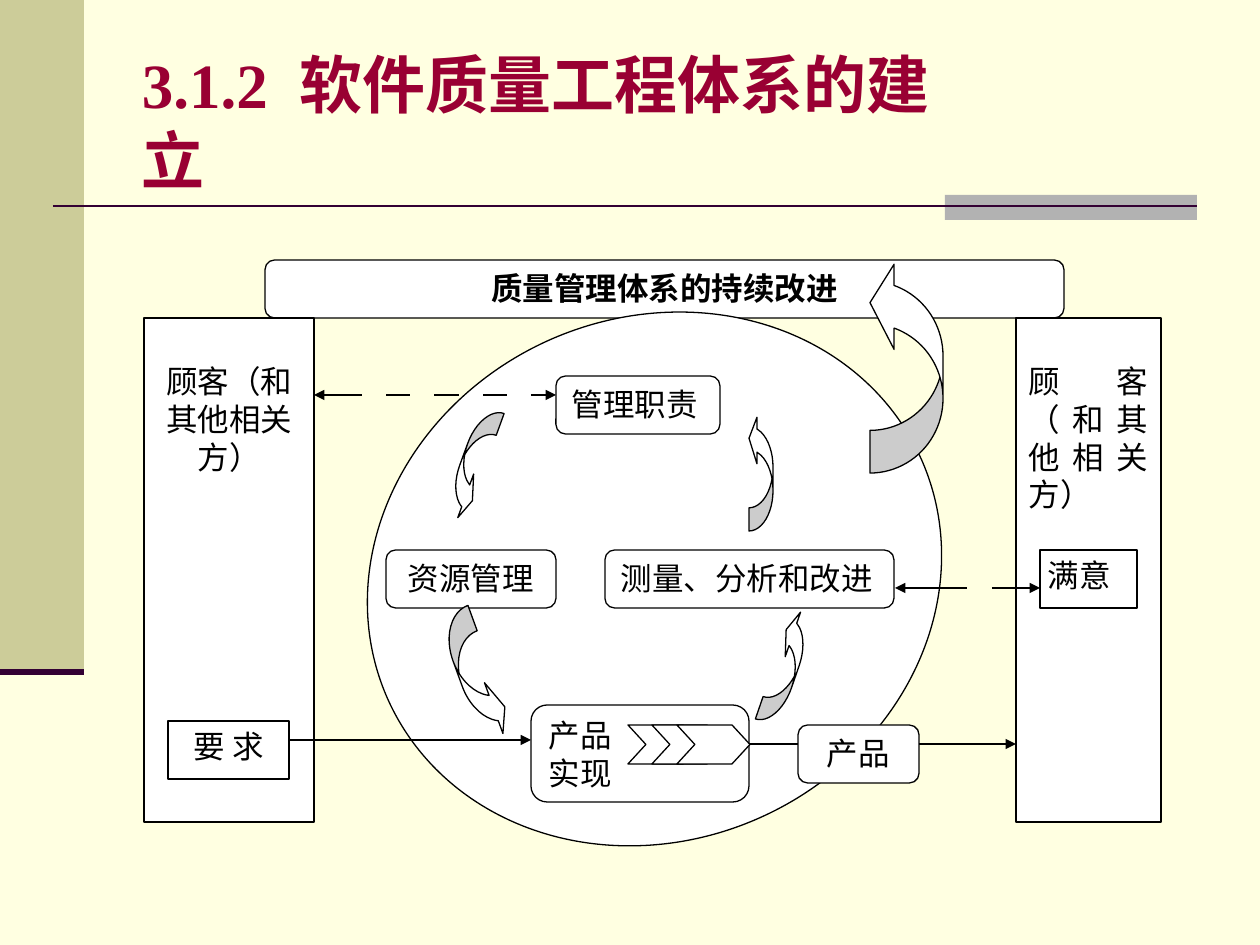
import pptx
import pptx.util
import pptx.oxml
import pptx.oxml.ns
from pptx.dml.color import RGBColor
from pptx.enum.shapes import MSO_CONNECTOR, MSO_SHAPE
from pptx.enum.text import MSO_ANCHOR, PP_ALIGN

SCALE = 914400 / 126
COLORS = {"bg": "FFFFE1", "band": "CCCC99", "accent": "B2B2B2", "rule": "330033",
          "title": "990033", "white": "FFFFFF", "ink": "000000"}
FONT = "Times New Roman"
CENTER, JUSTIFY, LEFT = PP_ALIGN.CENTER, PP_ALIGN.JUSTIFY, PP_ALIGN.LEFT


def px(n):
    return pptx.util.Emu(round(n * SCALE))


def rgb(name):
    return RGBColor.from_string(COLORS[name])


def write(tf, text, size=18, color="ink", bold=False, align=CENTER,
          inset=(13, 6, 13, 6), anchor=MSO_ANCHOR.TOP):
    """Fill a text frame; each line of text is one paragraph."""
    tf.word_wrap = True
    tf.vertical_anchor = anchor
    tf.margin_left, tf.margin_top, tf.margin_right, tf.margin_bottom = map(px, inset)
    for i, line in enumerate(text.split("\n")):
        p = tf.paragraphs[0] if i == 0 else tf.add_paragraph()
        p.alignment = align
        r = p.add_run()
        r.text = line
        r.font.name, r.font.size, r.font.bold = FONT, pptx.util.Pt(size), bold
        r.font.color.rgb = rgb(color)


class Diagram:
    def __init__(self, slide):
        self.s = slide
        self.line_width = 0.75

    def shape(self, kind, x, y, w, h, fill="white", line="ink", rot=0, adj=()):
        sp = self.s.shapes.add_shape(kind, px(x), px(y), px(w), px(h))
        sp.shadow.inherit = False
        sp.rotation = rot
        sp.fill.solid()
        sp.fill.fore_color.rgb = rgb(fill)
        if line:
            sp.line.color.rgb = rgb(line)
            sp.line.width = pptx.util.Pt(self.line_width)
        else:
            sp.line.fill.background()
        for i, value in enumerate(adj):
            sp.adjustments[i] = value
        return sp

    def box(self, x, y, w, h, text, **fmt):
        write(self.shape(MSO_SHAPE.RECTANGLE, x, y, w, h).text_frame, text, **fmt)

    def process(self, x, y, w, h, text, **fmt):
        sp = self.shape(MSO_SHAPE.FLOWCHART_ALTERNATE_PROCESS, x, y, w, h)
        write(sp.text_frame, text, **fmt)

    def curved_arrow(self, x, y, w, h, rot):
        # Tail is a fifth of the height, head two fifths, head length a third of the width
        adj = (0.2 * h / w, 0.4 * h / w, 0.33)
        self.shape(MSO_SHAPE.CURVED_RIGHT_ARROW, x, y, w, h, rot=rot, adj=adj)

    def line(self, x1, y1, x2, y2, color="ink", width=None, arrow=False):
        c = self.s.shapes.add_connector(MSO_CONNECTOR.STRAIGHT, px(x1), px(y1), px(x2), px(y2))
        c.line.color.rgb = rgb(color)
        c.line.width = pptx.util.Pt(width or self.line_width)
        if arrow:
            tail = pptx.oxml.parse_xml(
                '<a:tailEnd %s type="triangle"/>' % pptx.oxml.ns.nsdecls("a"))
            c.line._get_or_add_ln().append(tail)
        c._element.spPr.append(
            pptx.oxml.parse_xml("<a:effectLst %s/>" % pptx.oxml.ns.nsdecls("a")))

    def title(self, x, y, w, h, number, text):
        tf = self.s.shapes.add_textbox(px(x), px(y), px(w), px(h)).text_frame
        fmt = dict(size=36, color="title", bold=True, align=LEFT, anchor=MSO_ANCHOR.MIDDLE)
        write(tf, number, **fmt)
        p = tf.paragraphs[0]
        for part in (" ", text):
            r = p.add_run()
            r.text = part
            r.font.name, r.font.size, r.font.bold = FONT, pptx.util.Pt(36), True
            r.font.color.rgb = rgb("title")
        # Widen the gap after the section number
        p.runs[1].font._element.set("spc", "900")


def main():
    prs = pptx.Presentation()
    prs.slide_width, prs.slide_height = px(1260), px(945)
    s = prs.slides.add_slide(prs.slide_layouts[6])
    s.background.fill.solid()
    s.background.fill.fore_color.rgb = rgb("bg")
    d = Diagram(s)

    # Slide frame and title
    d.shape(MSO_SHAPE.RECTANGLE, 0, 0, 84, 672, fill="band", line=None)
    d.shape(MSO_SHAPE.RECTANGLE, 945, 195, 252, 25, fill="accent", line=None)
    d.line(53, 206, 1197, 206, color="rule", width=1.5)
    d.line(0, 672, 84, 672, color="rule", width=3.5)
    d.title(129, 76, 863, 91, "3.1.2", "软件质量工程体系的建立")

    # Improvement banner and process circle
    d.process(265, 260, 799, 58, "质量管理体系的持续改进", bold=True)
    d.shape(MSO_SHAPE.OVAL, 362, 318, 585, 522, rot=335)

    # Steps inside the circle
    d.process(556, 376, 164, 58, "管理职责", align=JUSTIFY)
    d.process(386, 550, 170, 58, "资源管理")
    d.process(531, 705, 218, 97, "产品\n实现", align=JUSTIFY)
    d.process(605, 550, 289, 58, "测量、分析和改进", align=JUSTIFY)

    # Customer columns
    customer = "顾客（和其他相关方）"
    column_inset = (13, 44, 13, 6)
    d.box(144, 318, 170, 504, customer, inset=column_inset)
    d.box(168, 721, 121, 58, "要 求")
    d.box(1016, 318, 145, 504, customer, align=JUSTIFY, inset=column_inset)
    d.box(1040, 550, 97, 58, "满意", align=JUSTIFY, inset=(8, 6, 8, 6))

    # Realisation chevrons and the product
    for x in (628, 652, 677):
        d.shape(MSO_SHAPE.CHEVRON, x, 725, 73, 39, adj=(0.46,))
    d.process(798, 725, 121, 58, "产品")

    # Cycle arrows
    for arrow in ((461, 406, 24, 116, 20), (459, 607, 33, 135, 340),
                  (774, 608, 24, 118, 199), (749, 415, 24, 116, 180),
                  (870, 260, 73, 213, 180)):
        d.curved_arrow(*arrow)

    # Flow from requirement to product to customer
    d.line(289, 740, 531, 740, arrow=True)
    d.line(749, 744, 798, 744)
    d.line(919, 744, 1016, 744, arrow=True)

    # Dashed information flows: arrow tips outside, plain dashes between
    for y, tips, dashes in (
            (588, ((992, 1040), (919, 895)), ((943, 919), (943, 967))),
            (395, ((531, 556), (338, 314)),
             ((507, 483), (459, 434), (410, 386), (362, 338)))):
        for x1, x2 in tips:
            d.line(x1, y, x2, y, arrow=True)
        for x1, x2 in dashes:
            d.line(x1, y, x2, y)

    prs.save("out.pptx")


if __name__ == "__main__":
    main()
